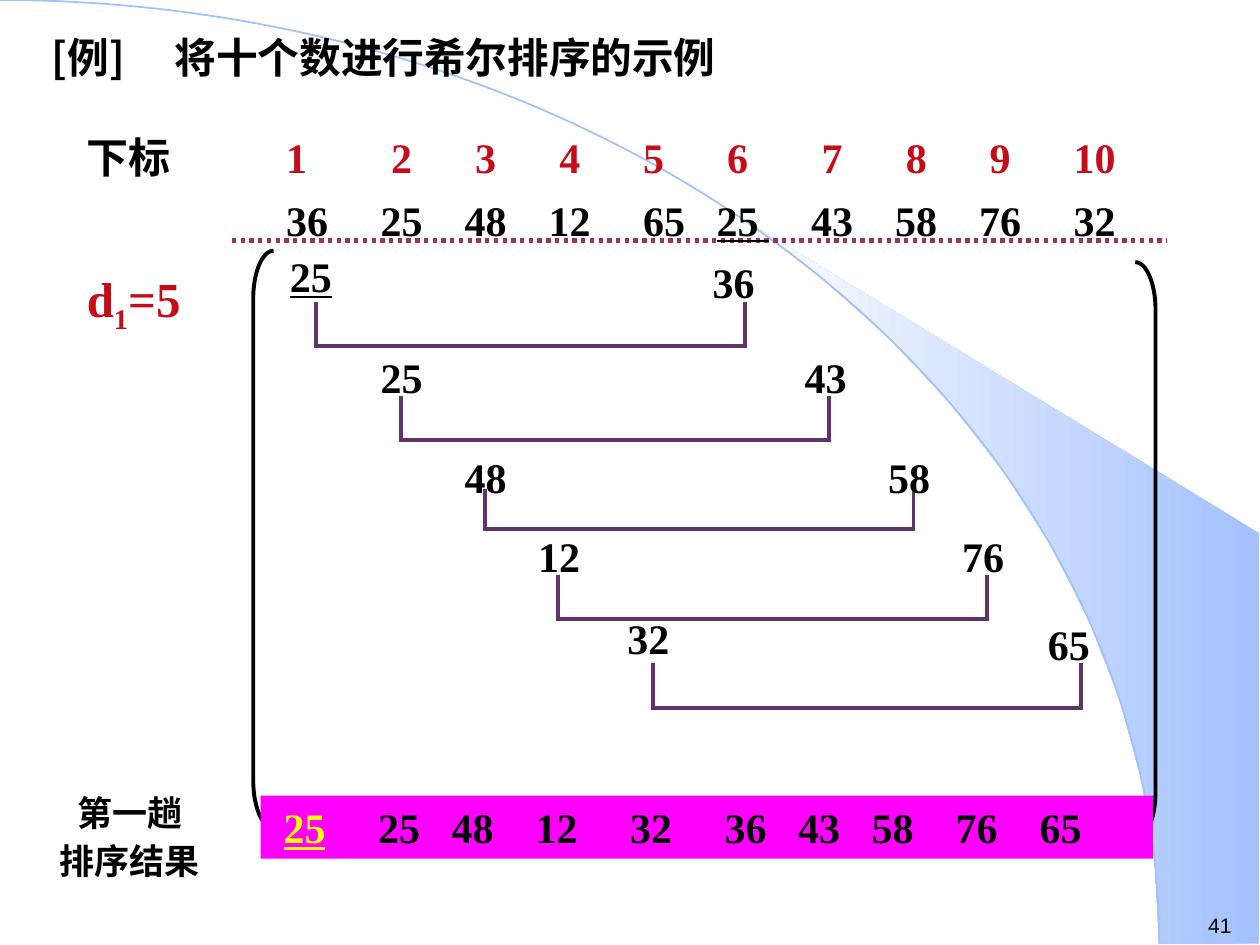
from math import cos, sin, radians

from lxml.etree import SubElement
from pptx import Presentation
from pptx.dml.color import RGBColor
from pptx.enum.dml import MSO_LINE
from pptx.enum.shapes import MSO_CONNECTOR, MSO_SHAPE
from pptx.enum.text import MSO_ANCHOR, PP_ALIGN
from pptx.oxml.ns import qn
from pptx.util import Pt

COLORS = {
    "black": "000000", "red": "C60C19", "yellow": "FFFF00",
    "magenta": "FF00FF", "plum": "993366", "purple": "60336B",
    "sky": "A2C1FE", "pale": "FEFEFE",
}
RGB = {name: RGBColor.from_string(code) for name, code in COLORS.items()}
SERIF, CHINESE = "Times New Roman", "Noto Sans CJK SC"

presentation = Presentation()
presentation.slide_width, presentation.slide_height = Pt(720), Pt(540)
slide = presentation.slides.add_slide(presentation.slide_layouts[6])
shapes = slide.shapes


def add_text(text, left=0, top=0, width=56, height=36, shape=None, size=24,
             font=SERIF, color="black", bold=True, align=PP_ALIGN.LEFT,
             tabs=(), line_spacing=None, space_before=0):
    """Text is a string, or a list of (text, format) runs; newlines split paragraphs."""
    if shape is None:
        shape = shapes.add_textbox(Pt(left), Pt(top), Pt(width), Pt(height))
    frame = shape.text_frame
    frame.word_wrap = True
    frame.vertical_anchor = MSO_ANCHOR.TOP
    paragraphs = text.split("\n") if isinstance(text, str) else [text]
    for index, content in enumerate(paragraphs):
        paragraph = frame.add_paragraph() if index else frame.paragraphs[0]
        paragraph.alignment = align
        if line_spacing:
            paragraph.line_spacing = line_spacing
        if index and space_before:
            paragraph.space_before = Pt(space_before)
        if tabs:
            tab_list = SubElement(paragraph._p.get_or_add_pPr(), qn("a:tabLst"))
            for position in tabs:
                SubElement(tab_list, qn("a:tab"), pos=str(Pt(position)), algn="l")
        for words, style in [(content, {})] if isinstance(content, str) else content:
            run = paragraph.add_run()
            run.text = words
            run.font.size, run.font.bold, run.font.name = Pt(size), bold, font
            run.font.color.rgb = RGB[style.get("color", color)]
            run.font.underline = style.get("underline", False)
            properties = run._r.get_or_add_rPr()
            SubElement(properties, qn("a:ea"), typeface=font)
            if "baseline" in style:
                properties.set("baseline", str(style["baseline"]))


def add_line(start, end, color, width, cap="flat"):
    connector = shapes.add_connector(MSO_CONNECTOR.STRAIGHT, *map(Pt, start + end))
    connector.line.color.rgb = RGB[color]
    connector.line.width = Pt(width)
    connector.line._get_or_add_ln().set("cap", cap)
    SubElement(connector._element.spPr, qn("a:effectLst"))
    return connector


# Background wedge: its curved edge lies on the same ellipse as the arc
RADIUS_X, RADIUS_Y = 662.4, 539.3
edge = [
    (Pt(RADIUS_X * cos(radians(angle))), Pt(RADIUS_Y * (1 - sin(radians(angle)))))
    for angle in range(50, -1, -5)
]
builder = shapes.build_freeform(*edge[0], scale=1.0)
builder.add_line_segments(edge[1:] + [(Pt(719.3), Pt(539.3)), (Pt(719.3), Pt(304.6))])
wedge = builder.convert_to_shape()
wedge.shadow.inherit = False
wedge.fill.gradient()
wedge.fill.gradient_angle = 180
for stop, name in zip(wedge.fill.gradient_stops, ("sky", "pale")):
    stop.color.rgb = RGB[name]
wedge.line.fill.background()

# Background arc and large brackets
outlines = [
    (MSO_SHAPE.ARC, -RADIUS_X, 0, 2 * RADIUS_X, 2 * RADIUS_Y, "sky", 1),
    (MSO_SHAPE.LEFT_BRACKET, 144.7, 143.3, 11.6, 330, "black", 2.25),
    (MSO_SHAPE.RIGHT_BRACKET, 648.7, 149.8, 11.6, 330, "black", 2.25),
]
for kind, left, top, width, height, color, weight in outlines:
    outline = shapes.add_shape(kind, Pt(left), Pt(top), Pt(width), Pt(height))
    if kind != MSO_SHAPE.ARC:
        outline.adjustments[0] = 2.35
    outline.shadow.inherit = False
    outline.fill.background()
    outline.line.color.rgb = RGB[color]
    outline.line.width = Pt(weight)

# Slide number and title
add_text("41", 683.3, 517.7, 36.7, 21.6, size=12, font="Arial", bold=False)
add_text("[例]\t将十个数进行希尔排序的示例", 22.5, 18, 493, 36,
         size=23.8, font=CHINESE, tabs=[70.3], line_spacing=0.9)

# Dotted rule
rule = add_line((132.5, 137.5), (666.7, 137.5), "plum", 2.5)
rule.line.dash_style = MSO_LINE.ROUND_DOT

# Index row and value row
add_text("".join(f"\t{number}" for number in range(1, 11)), 144.5, 71.7, 527.8,
         color="red", tabs=[12, 72, 120, 168, 216, 264, 318, 366, 414, 462])
add_text([("\t36\t25\t48\t12\t65\t", {}), ("25 ", {"underline": True}),
          ("\t43\t58\t76\t32", {})], 150.5, 107.7, 527.8,
         tabs=[6, 60, 108, 156, 210, 252, 306, 354, 402, 456])

# Row labels
add_text("下标", 42.5, 71.7, 84.2, font=CHINESE)
add_text([("d", {}), ("1", {"baseline": -25000}), ("=5", {})],
         42.5, 149.8, 77.8, 45.4, size=28, color="red")

# Compared pairs: numbers with (left, top), then link left, top and bottom
SPAN = 244.8
pairs = [
    ("25", 158.5, 139.7, "36", 400.2, 143.3, 180.7, 173.5, 197.5),
    ("25", 210.4, 197.6, "43", 452.7, 197.6, 229, 227.5, 251.3),
    ("48", 258.5, 254.2, "58", 500.4, 254.2, 277.2, 280.8, 302.4),
    ("12", 300.4, 299.5, "76", 542.7, 299.5, 319, 329.8, 353.5),
    ("32", 351.4, 346.3, "65", 591.8, 349.9, 373, 380.2, 404.6),
]
for index, (first, first_left, first_top, second, second_left, second_top,
            left, top, bottom) in enumerate(pairs):
    corners = [(left, top), (left, bottom), (left + SPAN, bottom), (left + SPAN, top)]
    for start, end in zip(corners, corners[1:]):
        add_line(start, end, "purple", 2.25, cap="sq")
    add_text([(first, {"underline": index == 0})], first_left, first_top)
    add_text(second, second_left, second_top)

# Result of the first pass
result = shapes.add_shape(MSO_SHAPE.RECTANGLE, Pt(149), Pt(454.7), Pt(509.8), Pt(36))
result.shadow.inherit = False
result.fill.solid()
result.fill.fore_color.rgb = RGB["magenta"]
result.line.fill.background()
add_text([("\t", {}), ("25", {"color": "yellow", "underline": True}),
          ("\t25\t48\t12\t32\t36\t43\t58\t76\t65", {})], shape=result,
         tabs=[6, 60, 102, 150, 204, 258, 300, 342, 390, 438])
add_text("第一趟\n排序结果", 17.3, 448.6, 113.8, 59, size=20, font=CHINESE,
         align=PP_ALIGN.CENTER, space_before=3.7)

presentation.save("out.pptx")
